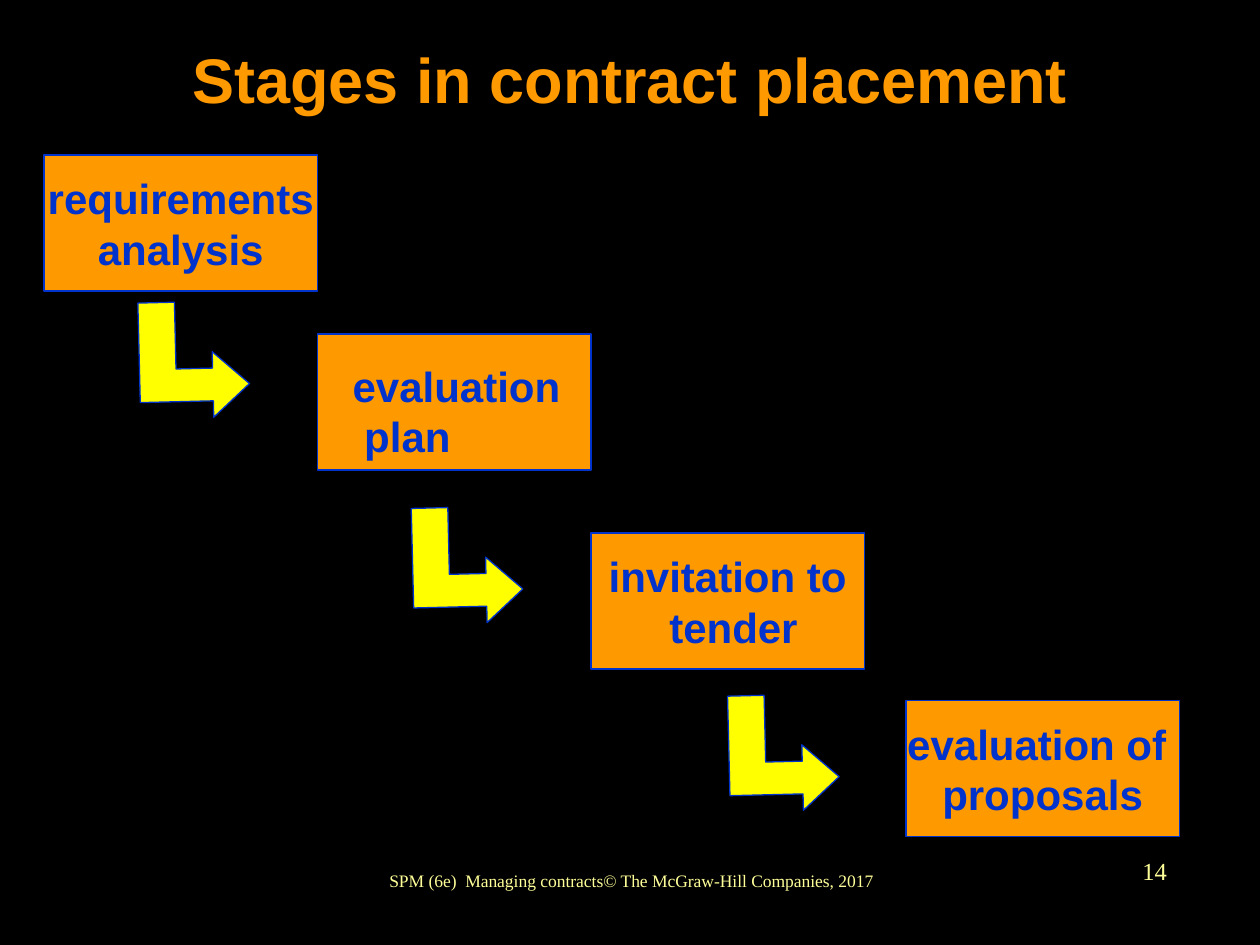
"""Build the slide on the stages in contract placement."""
from pptx import Presentation
from pptx.dml.color import RGBColor
from pptx.enum.shapes import MSO_SHAPE
from pptx.enum.text import MSO_ANCHOR, MSO_AUTO_SIZE, PP_ALIGN
from pptx.util import Inches, Pt

COLORS = {
    "background": "000000",
    "orange": "FF9900",
    "blue": "0033CC",
    "arrow": "FFFF00",
    "footer": "FFFF99",
}
STAGE_SIZE = (2.17, 1.08)
STAGES = [
    (0.35, 1.23, "requirements\nanalysis"),
    (2.52, 2.65, ""),
    (4.69, 4.23, "invitation to\n tender"),
    (7.19, 5.56, "evaluation of \nproposals"),
]
ARROWS = [(1.08, 2.42), (3.25, 4.05), (5.76, 5.54)]
ARROW_OUTLINE = [
    (0.66, 0), (0.4, 0.29), (0.53, 0.29), (0.53, 0.58), (0, 0.58),
    (0, 0.87), (0.79, 0.87), (0.79, 0.29), (0.92, 0.29),
]


def color(name):
    """Return the named colour."""
    return RGBColor.from_string(COLORS[name])


def write(holder, text, size, font, ink, align, bold=False, wrap=False):
    """Put formatted text into a shape or text box."""
    frame = holder.text_frame
    frame.text = text
    frame.word_wrap = wrap
    frame.vertical_anchor = MSO_ANCHOR.MIDDLE
    for paragraph in frame.paragraphs:
        paragraph.alignment = align
        for run in paragraph.runs:
            run.font.size = Pt(size)
            run.font.name = font
            run.font.bold = bold
            run.font.color.rgb = color(ink)


def add_text(slide, box, *style, **options):
    """Add a text box and return it."""
    label = slide.shapes.add_textbox(*map(Inches, box))
    write(label, *style, **options)
    return label


def paint(shape, fill):
    """Give a shape its fill and thin blue outline."""
    shape.shadow.inherit = False
    shape.fill.solid()
    shape.fill.fore_color.rgb = color(fill)
    shape.line.color.rgb = color("blue")
    shape.line.width = Pt(0.75)


def add_stage(slide, left, top, text):
    """Add the rectangle of one stage."""
    stage = slide.shapes.add_shape(
        MSO_SHAPE.RECTANGLE, *map(Inches, (left, top, *STAGE_SIZE)))
    paint(stage, "orange")
    if text:
        write(stage, text, 24, "Arial", "blue", PP_ALIGN.CENTER, bold=True)


def add_arrow(slide, left, top):
    """Add a bent arrow leading to the next stage."""
    start, *rest = [(Inches(x), Inches(y)) for x, y in ARROW_OUTLINE]
    outline = slide.shapes.build_freeform(*start)
    outline.add_line_segments(rest, close=True)
    arrow = outline.convert_to_shape(Inches(left), Inches(top))
    arrow.rotation = 88.6
    paint(arrow, "arrow")


def main():
    """Build and save the slide."""
    deck = Presentation()
    deck.slide_width, deck.slide_height = Inches(10), Inches(7.5)
    slide = deck.slides.add_slide(deck.slide_layouts[6])
    slide.background.fill.solid()
    slide.background.fill.fore_color.rgb = color("background")

    add_text(slide, (2.91, 6.74, 4.2, 0.5),
             "SPM (6e)  Managing contracts© The McGraw-Hill Companies, 2017",
             10, "Times New Roman", "footer", PP_ALIGN.CENTER)
    add_text(slide, (7.28, 6.66, 2.08, 0.5), "14",
             14, "Times New Roman", "footer", PP_ALIGN.RIGHT)
    add_text(slide, (0.75, 0, 8.5, 1.25), "Stages in contract placement",
             36, "Arial", "orange", PP_ALIGN.CENTER, bold=True, wrap=True)
    for stage in STAGES:
        add_stage(slide, *stage)
    for position in ARROWS:
        add_arrow(slide, *position)
    plan = add_text(slide, (2.7, 2.81, 1.85, 0.9), "evaluation\n plan",
                    24, "Arial", "blue", PP_ALIGN.LEFT, bold=True)
    plan.text_frame.vertical_anchor = MSO_ANCHOR.TOP
    plan.text_frame.auto_size = MSO_AUTO_SIZE.SHAPE_TO_FIT_TEXT
    deck.save("out.pptx")


if __name__ == "__main__":
    main()
